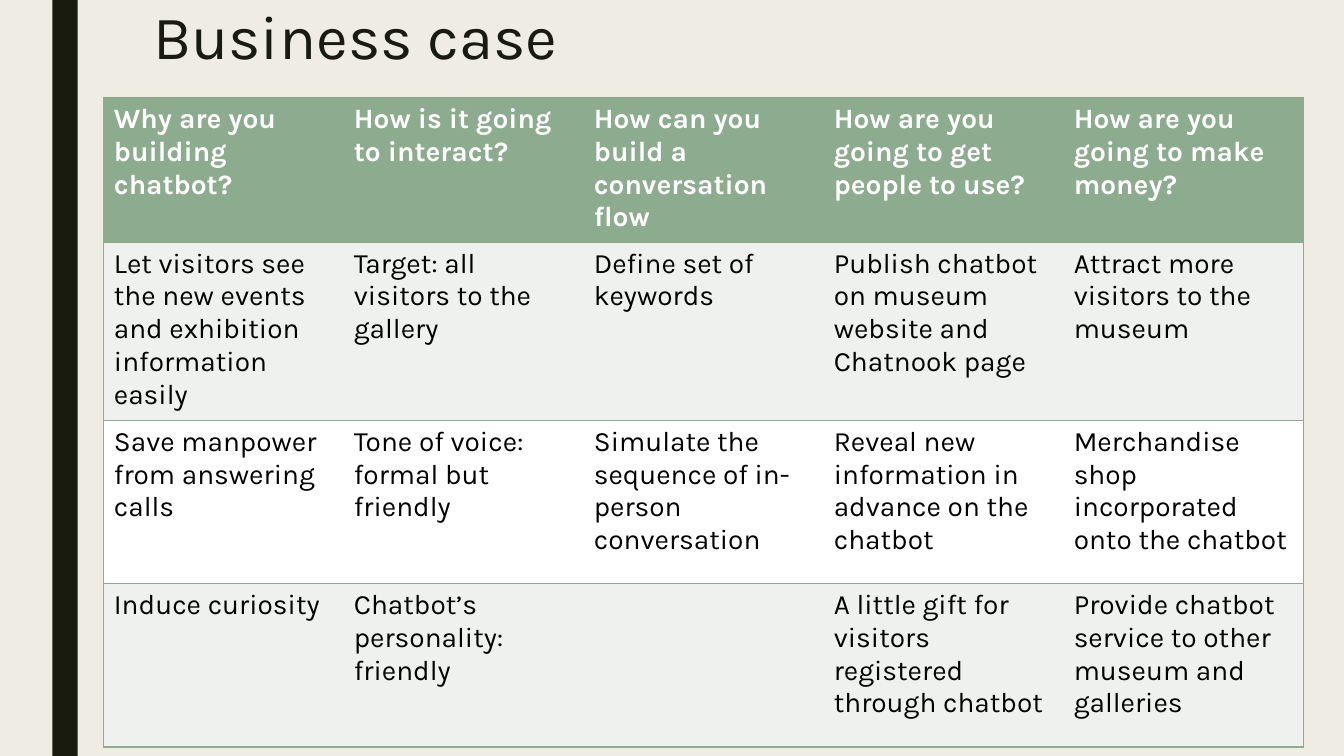
from lxml.etree import SubElement
from pptx import Presentation
from pptx.dml.color import RGBColor
from pptx.enum.shapes import MSO_SHAPE as Shape
from pptx.enum.text import MSO_ANCHOR as Anchor
from pptx.oxml.ns import qn
from pptx.util import Inches, Pt

THEME = {
    "font": "Karla",
    "background": "EFEDE3",
    "ink": "191B0E",
    "green": "8DAB8E",
    "pale": "EEF1EE",
    "white": "FFFFFF",
    "black": "000000",
    "title_size": 44,
    "cell_size": 20,
    "line_width": 1,
}
WIDTH, HEIGHT = 13.33, 7.5
COL = 2.38
HEADER_ROW, BODY_ROW = 1.41, 1.62
NO_STYLE = "{2D5ABB26-0587-4C30-8999-92F81FD0307C}"

CASE = [
    ["Why are you building chatbot?", "How is it going to interact?",
     "How can you build a conversation flow",
     "How are you going to get people to use?",
     "How are you going to make money?"],
    ["Let visitors see the new events and exhibition information easily",
     "Target: all visitors to the gallery", "Define set of keywords",
     "Publish chatbot on museum website and Chatnook page",
     "Attract more visitors to the museum"],
    ["Save manpower from answering calls", "Tone of voice: formal but friendly",
     "Simulate the sequence of in-person conversation",
     "Reveal new information in advance on the chatbot",
     "Merchandise shop incorporated onto the chatbot"],
    ["Induce curiosity", "Chatbot’s personality: friendly", "",
     "A little gift for visitors registered through chatbot",
     "Provide chatbot service to other museum and galleries"],
]


def color(name):
    return RGBColor.from_string(THEME[name])


def fill(target, name):
    target.fill.solid()
    target.fill.fore_color.rgb = color(name)


def write(tf, text, size, ink, bold=False, spacing=None):
    p = tf.paragraphs[0]
    p.line_spacing = spacing
    r = p.add_run()
    r.text = text
    r.font.name = THEME["font"]
    r.font.size = Pt(THEME[size])
    r.font.bold = bold
    r.font.color.rgb = color(ink)


def add_band(s, x, w):
    sp = s.shapes.add_shape(Shape.RECTANGLE, Inches(x), 0, Inches(w), Inches(HEIGHT))
    sp.shadow.inherit = False
    sp.line.fill.background()
    fill(sp, "ink")


def add_title(s, text, x, y, w, h):
    tf = s.shapes.add_textbox(Inches(x), Inches(y), Inches(w), Inches(h)).text_frame
    tf.word_wrap = True
    tf.vertical_anchor = Anchor.TOP
    write(tf, text, size="title_size", ink="ink", spacing=0.89)


def set_borders(cell, sides):
    tc_pr = cell._tc.get_or_add_tcPr()
    for i, side in enumerate(sides):
        ln = SubElement(tc_pr, qn(f"a:ln{side}"), w=str(Pt(THEME["line_width"])))
        paint = SubElement(ln, qn("a:solidFill"))
        SubElement(paint, qn("a:srgbClr"), val=THEME["green"])
        tc_pr.insert(i, ln)


def add_case_table(s, rows, x, y):
    n_rows, n_cols = len(rows), len(rows[0])
    heights = [HEADER_ROW] + [BODY_ROW] * (n_rows - 1)
    table = s.shapes.add_table(n_rows, n_cols, Inches(x), Inches(y),
                               Inches(COL * n_cols), Inches(sum(heights))).table
    table.first_row = table.horz_banding = False
    table._tbl.tblPr.find(qn("a:tableStyleId")).text = NO_STYLE
    for col in table.columns:
        col.width = Inches(COL)
    for i, texts in enumerate(rows):
        table.rows[i].height = Inches(heights[i])
        header = i == 0
        shade = "green" if header else "pale" if i % 2 else "white"
        for j, text in enumerate(texts):
            cell = table.cell(i, j)
            fill(cell, shade)
            left = ["L"] if j == 0 else []
            right = ["R"] if j == n_cols - 1 else []
            set_borders(cell, left + right + ["T", "B"])
            if text:
                write(cell.text_frame, text, size="cell_size",
                      ink="white" if header else "black", bold=header)


def main():
    prs = Presentation()
    prs.slide_width, prs.slide_height = Inches(WIDTH), Inches(HEIGHT)
    s = prs.slides.add_slide(prs.slide_layouts[6])
    fill(s.background, "background")
    add_band(s, x=0.52, w=0.25)
    add_title(s, "Business case", x=1.42, y=0.02, w=10.5, h=0.9)
    add_case_table(s, CASE, x=1.03, y=0.97)
    prs.save("out.pptx")


if __name__ == "__main__":
    main()
